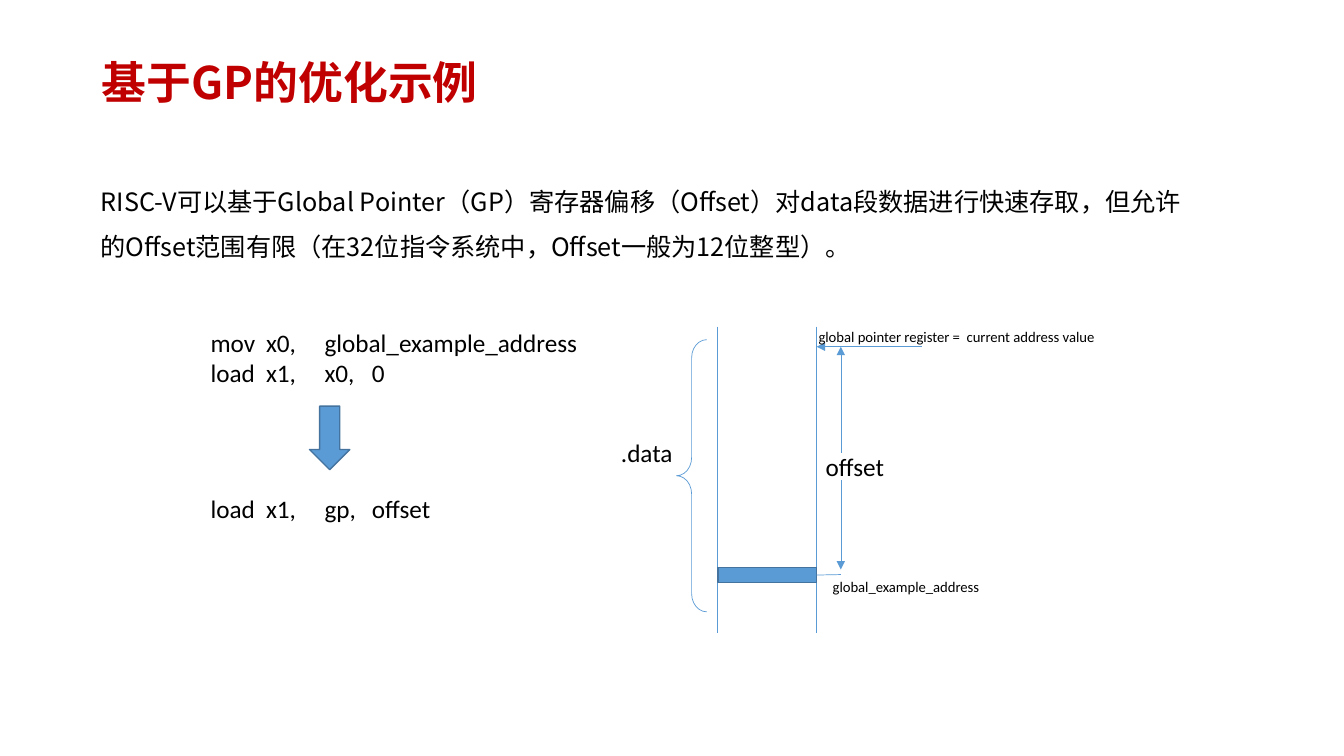
from pptx import Presentation
from pptx import util as u
from pptx.dml.color import RGBColor
from pptx.enum import shapes, text
from pptx.oxml import parse_xml
from pptx.oxml.ns import nsdecls

CJK_FONT = "Noto Sans CJK SC"
LATIN_FONT = "Calibri"
BLUE = "5B9BD5"
EDGE = "43739E"
CODE_STOPS = (0.55, 1.13, 1.6)


def color(value):
    return RGBColor.from_string(value)


def element(tag, attributes=""):
    return parse_xml(f"<a:{tag} {nsdecls('a')} {attributes}/>")


def format_text(frame, size, font, fill="000000", bold=False, spacing=1.0):
    for para in frame.paragraphs:
        para.alignment = text.PP_ALIGN.LEFT
        para.line_spacing = spacing
        for span in para.runs:
            span.font.size = u.Pt(size)
            span.font.name = font
            span.font.bold = bold
            span.font.color.rgb = color(fill)
            span.font._element.append(element("ea", f'typeface="{font}"'))


def add_text(page, box, words, size=18, font=LATIN_FONT, wrap=False, spacing=1.0):
    shape = page.shapes.add_textbox(*map(u.Inches, box))
    frame = shape.text_frame
    frame.word_wrap = wrap
    frame.text = words
    format_text(frame, size, font, spacing=spacing)
    return frame


def add_block(page, kind, box, fill=BLUE, line=EDGE, width=1):
    shape = page.shapes.add_shape(kind, *map(u.Inches, box))
    shape.shadow.inherit = False
    if fill:
        shape.fill.solid()
        shape.fill.fore_color.rgb = color(fill)
    else:
        shape.fill.background()
    shape.line.color.rgb = color(line)
    shape.line.width = u.Pt(width)
    return shape


def add_line(page, start, end, arrow=False):
    line = page.shapes.add_connector(
        shapes.MSO_CONNECTOR.STRAIGHT, *map(u.Inches, start + end))
    line.line.color.rgb = color(BLUE)
    line.line.width = u.Pt(0.5)
    if arrow:
        line.line._get_or_add_ln().append(element("tailEnd", 'type="triangle"'))
    line._element.spPr.append(element("effectLst"))
    return line


def set_title(page, box, words):
    title = page.shapes.title
    title.left, title.top, title.width, title.height = map(u.Inches, box)
    frame = title.text_frame
    frame.text = words
    frame.vertical_anchor = text.MSO_ANCHOR.MIDDLE
    format_text(frame, 32, CJK_FONT, "C00000", True, 0.9)


def add_code(page, box, words):
    frame = add_text(page, box, words, wrap=True)
    for para in frame.paragraphs:
        stops = element("tabLst")
        for stop in CODE_STOPS:
            stops.append(element("tab", f'pos="{u.Inches(stop)}" algn="l"'))
        para._p.get_or_add_pPr().append(stops)


def add_code_example(page, box):
    left, top, width, height = box
    add_code(page, (left, top, width, 0.71),
             "mov\tx0,\tglobal_example_address\nload\tx1,\tx0,\t0")
    add_block(page, shapes.MSO_SHAPE.DOWN_ARROW, (left + 1.08, top + 0.83, 0.4, 0.63))
    add_code(page, (left, top + height - 0.4, width, 0.4), "load\tx1,\tgp,\toffset")


def add_memory_diagram(page, box):
    left, top, width, height = box
    right = left + width
    pointer = top + 0.2
    measure = right + 0.24
    for edge in (left, right):
        add_line(page, (edge, top), (edge, top + height))

    brace = add_block(page, shapes.MSO_SHAPE.LEFT_BRACE,
                      (left - 0.41, top + 0.13, 0.3, 2.7), None, BLUE, 0.5)
    brace.adjustments[0] = 0.6
    add_text(page, (left - 1.06, top + 1.05, 0.72, 0.4), ".data")

    variable = add_block(page, shapes.MSO_SHAPE.RECTANGLE,
                         (left, top + 2.39, width, 0.15))
    address = top + 2.46
    marker = add_line(page, (right, address), (measure, address))
    marker.begin_connect(variable, 3)
    add_text(page, (right + 0.06, top + 2.44, 1.68, 0.28),
             "global_example_address", 10.5)

    add_line(page, (right + 1.04, pointer), (right, pointer), True)
    add_line(page, (measure, top + 1.25), (measure, pointer), True)
    add_line(page, (measure, top + 1.52), (measure, address - 0.05), True)
    add_text(page, (right - 0.01, top + 1.19, 0.79, 0.4), "offset")
    add_text(page, (right - 0.08, top - 0.04, 2.99, 0.28),
             "global pointer register =  current address value", 10.5)


def main():
    deck = Presentation()
    deck.slide_width, deck.slide_height = u.Inches(13.33), u.Inches(7.5)
    page = deck.slides.add_slide(deck.slide_layouts[5])
    set_title(page, (0.91, 0.12, 11.5, 1.45), "基于GP的优化示例")
    add_text(page, (0.9, 1.65, 11.03, 1.2),
             "RISC-V可以基于Global Pointer（GP）寄存器偏移（Offset）对data段数据进行快速存取，"
             "但允许的Offset范围有限（在32位指令系统中，Offset一般为12位整型）。",
             font=CJK_FONT, wrap=True, spacing=1.5)
    add_code_example(page, (1.99, 3.2, 3.89, 2.04))
    add_memory_diagram(page, (7.12, 3.24, 0.98, 3.04))
    deck.save("out.pptx")


if __name__ == "__main__":
    main()
